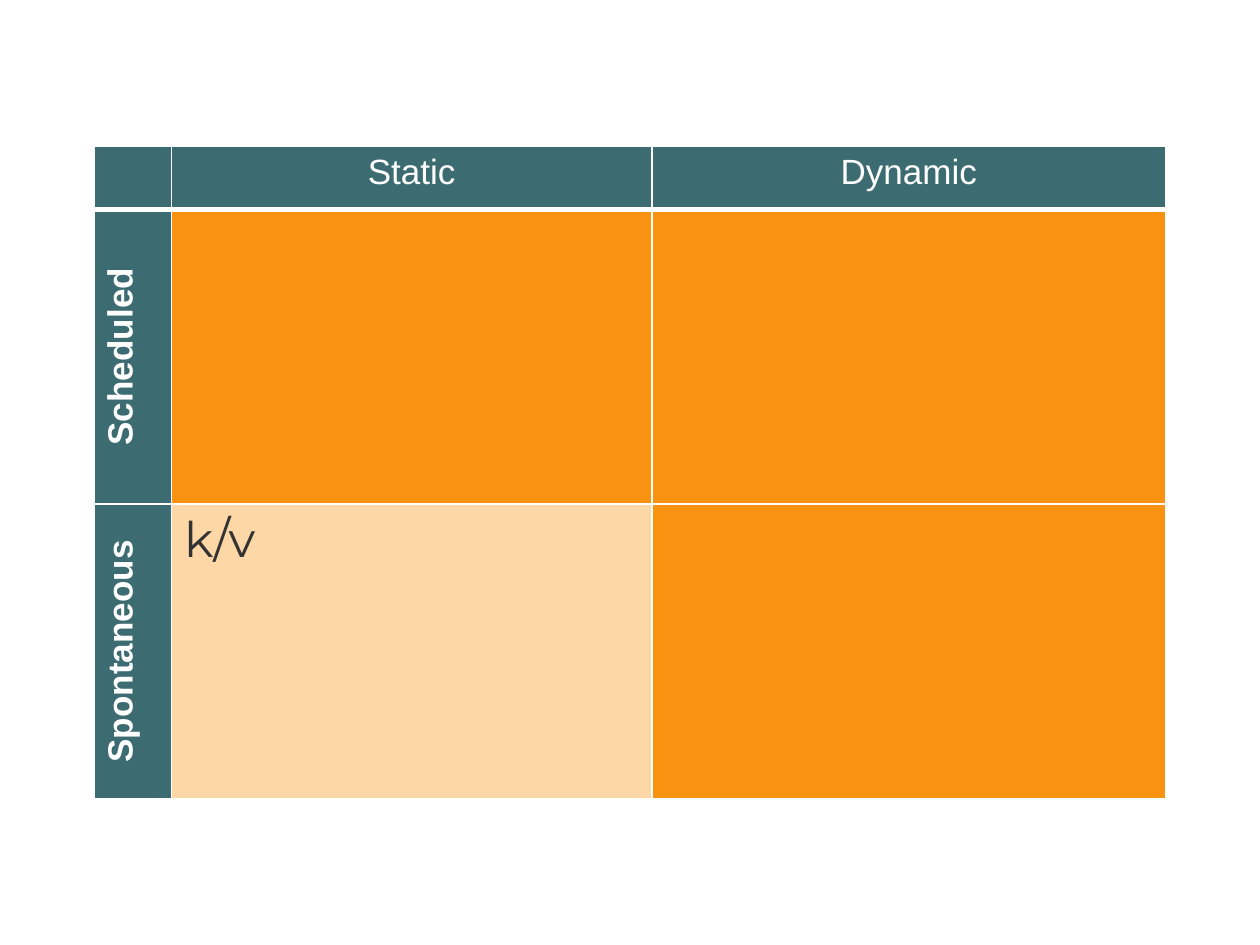
import dataclasses

import lxml.etree
import pptx
import pptx.dml.color
import pptx.enum.text
import pptx.oxml.ns
import pptx.table
import pptx.util
from pptx.util import Cm

COLORS = {
    "header": "3C6C72",
    "quadrant": "F89210",
    "highlight": "FED7A7",
    "white": "FFFFFF",
    "ink": "333333",
}
COL_WIDTHS = (Cm(1.55), Cm(9.68), Cm(10.36))
ROW_HEIGHTS = (Cm(1.27), Cm(5.94), Cm(5.94))
CENTER = pptx.enum.text.PP_ALIGN.CENTER
LEFT = pptx.enum.text.PP_ALIGN.LEFT


@dataclasses.dataclass(frozen=True)
class CellStyle:
    fill: str
    color: str = "white"
    font: str = "Arial"
    size: int = 20
    bold: bool = False
    align: pptx.enum.text.PP_ALIGN = CENTER
    vertical: bool = False
    bottom_border: int = 1


COLUMN_HEAD = CellStyle("header", bottom_border=3)
ROW_HEAD = CellStyle("header", bold=True, vertical=True)
QUADRANT = CellStyle("quadrant")
NOTE = CellStyle("highlight", "ink", "Montserrat", 28, align=LEFT)

GRID = (
    (("", COLUMN_HEAD), ("Static", COLUMN_HEAD), ("Dynamic", COLUMN_HEAD)),
    (("Scheduled", ROW_HEAD), ("", QUADRANT), ("", QUADRANT)),
    (("Spontaneous", ROW_HEAD), ("k/v", NOTE), ("", QUADRANT)),
)


def rgb(name: str) -> pptx.dml.color.RGBColor:
    return pptx.dml.color.RGBColor.from_string(COLORS[name])


def set_borders(cell: pptx.table._Cell, bottom: int) -> None:
    """Draw white cell borders; they must precede the fill in tcPr."""
    qn = pptx.oxml.ns.qn
    tc_pr = cell._tc.get_or_add_tcPr()
    for i, (side, width) in enumerate(zip("LRTB", (1, 1, 1, bottom))):
        ln = lxml.etree.Element(qn(f"a:ln{side}"), w=str(pptx.util.Pt(width)))
        fill = lxml.etree.SubElement(ln, qn("a:solidFill"))
        lxml.etree.SubElement(fill, qn("a:srgbClr"), val=COLORS["white"])
        tc_pr.insert(i, ln)


def fill_cell(cell: pptx.table._Cell, text: str, style: CellStyle) -> None:
    cell.fill.solid()
    cell.fill.fore_color.rgb = rgb(style.fill)
    set_borders(cell, style.bottom_border)
    if style.vertical:
        cell._tc.get_or_add_tcPr().set("vert", "vert270")
    if not text:
        return
    cell.text = text
    p = cell.text_frame.paragraphs[0]
    p.alignment = style.align
    p.font.name = style.font
    p.font.size = pptx.util.Pt(style.size)
    p.font.bold = style.bold
    p.font.color.rgb = rgb(style.color)


def main() -> None:
    prs = pptx.Presentation()
    prs.slide_width, prs.slide_height = Cm(25.4), Cm(19.05)
    s = prs.slides.add_slide(prs.slide_layouts[6])
    table = s.shapes.add_table(
        len(ROW_HEIGHTS), len(COL_WIDTHS), Cm(1.91), Cm(2.95),
        sum(COL_WIDTHS), sum(ROW_HEIGHTS),
    ).table
    table.first_col = True
    for column, width in zip(table.columns, COL_WIDTHS):
        column.width = width
    for row, height, contents in zip(table.rows, ROW_HEIGHTS, GRID):
        row.height = height
        for cell, (text, style) in zip(row.cells, contents):
            fill_cell(cell, text, style)
    prs.save("out.pptx")


if __name__ == "__main__":
    main()
